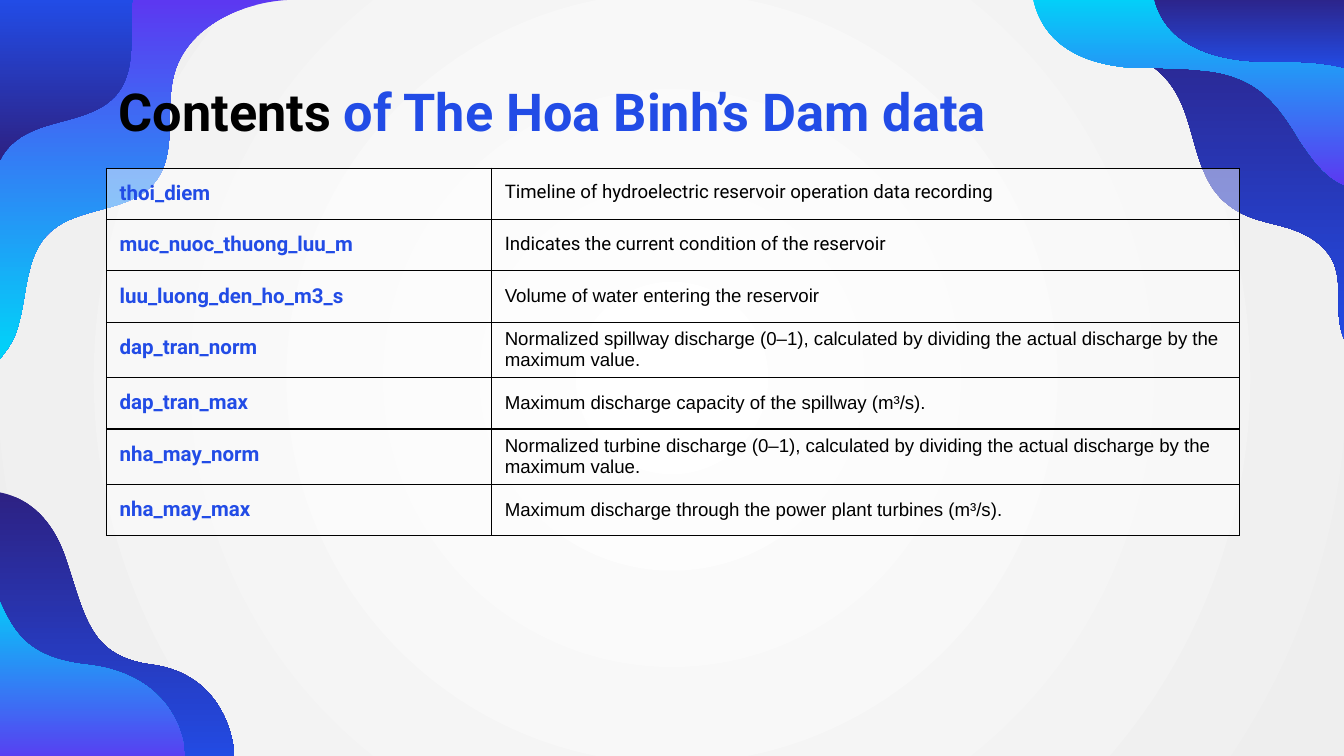
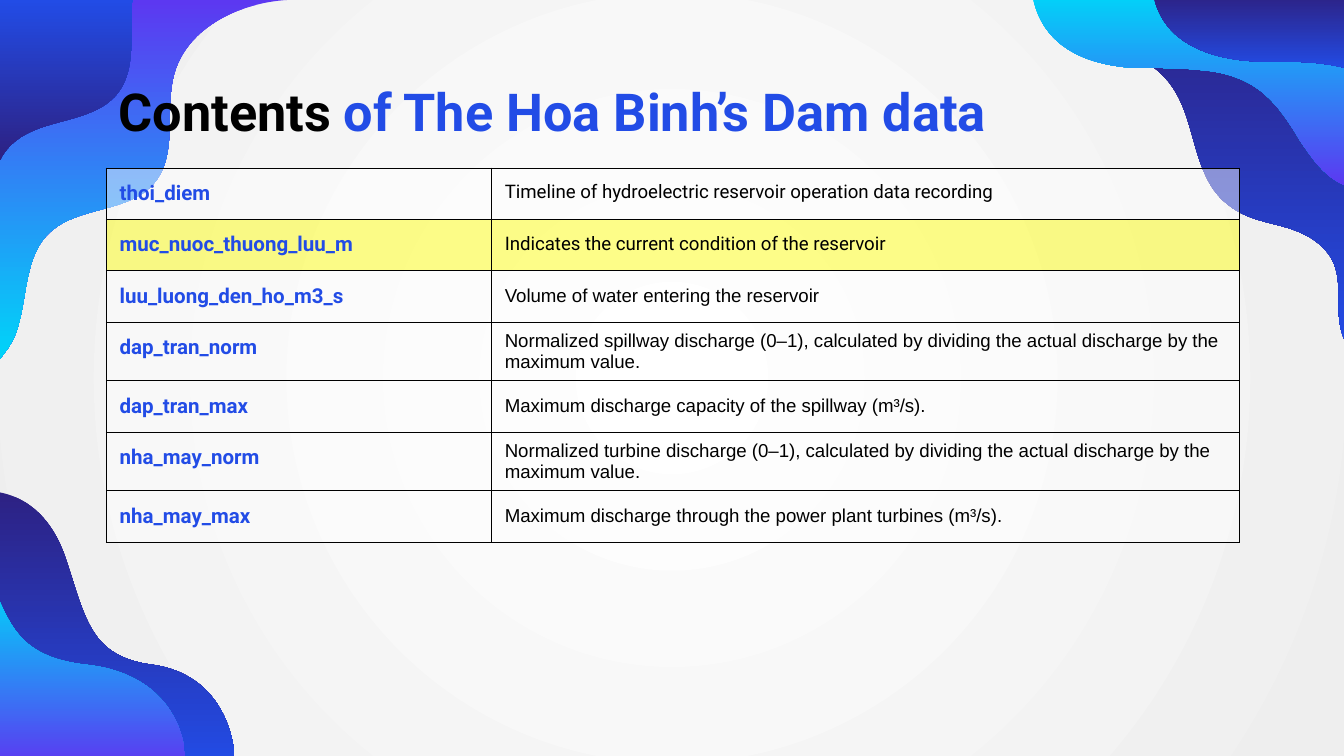
from dataclasses import dataclass

from lxml import etree
from pptx import Presentation
from pptx.dml.color import RGBColor
from pptx.enum.text import MSO_ANCHOR
from pptx.oxml.ns import qn
from pptx.util import Cm, Pt

MIDDLE = MSO_ANCHOR.MIDDLE
TOP = MSO_ANCHOR.TOP
UNIT = Cm(2.54) / 100


@dataclass(frozen=True)
class Theme:
    black: str = "000000"
    white: str = "FFFFFF"
    mist: str = "EEEEEE"
    blue: str = "224CE6"
    navy: str = "2D2183"
    cyan: str = "00D4F9"
    violet: str = "5C38F1"
    highlight: str = "FFFF00"
    heading_font: str = "Roboto"
    body_font: str = "Arial"
    title_size: int = 28
    field_size: int = 11
    body_size: int = 10
    border_width: float = 0.75
    cell_opacity: int = 46


THEME = Theme()
DEEP = (THEME.navy, THEME.blue)
BRIGHT = (THEME.cyan, THEME.violet)

BOTTOM_LEFT_WAVES = [
    (DEEP, [
        (-5, 6), (-5, 209), (175, 209),
        (174, 175, 156, 141, 114, 135),
        (67, 129, 64, 101, 49, 56),
        (35, 14, 7, 7, -5, 6),
    ]),
    (BRIGHT, [
        (-5, 76), (-5, 211), (138, 211),
        (139, 177, 118, 141, 65, 135),
        (18, 130, 8, 109, -5, 76),
    ]),
]
TOP_RIGHT_WAVES = [
    (DEEP, [
        (305, -5), (305, 259),
        (303, 257, 302, 255, 301, 254),
        (296, 244, 296, 234, 296, 223),
        (296, 213, 296, 202, 291, 193),
        (284, 180, 270, 173, 256, 169),
        (242, 165, 228, 163, 216, 154),
        (183, 131, 193, 82, 164, 55),
        (143, 34, 94, 31, 81, 0),
        (305, -5),
    ]),
    (BRIGHT, [
        (305, -5), (305, 139),
        (301, 138, 298, 137, 295, 135),
        (283, 128, 275, 116, 267, 104),
        (260, 92, 252, 80, 242, 71),
        (228, 58, 209, 53, 191, 52),
        (173, 50, 155, 51, 137, 50),
        (119, 48, 100, 43, 86, 30),
        (76, 21, 70, 8, 68, -5),
    ]),
    (DEEP, [
        (305, -5), (305, 52),
        (297, 49, 288, 48, 280, 47),
        (262, 45, 243, 47, 225, 45),
        (207, 43, 189, 38, 175, 26),
        (166, 18, 160, 7, 158, -5),
        (305, -5),
    ]),
]
TOP_LEFT_WAVES = [
    (BRIGHT[::-1], [
        (0, 267),
        (4, 262, 8, 257, 11, 250),
        (21, 225, 17, 193, 36, 174),
        (57, 153, 96, 159, 115, 136),
        (133, 114, 122, 81, 130, 54),
        (140, 20, 179, 2, 214, 0),
        (214, 0, 215, 0, 216, 0),
        (0, 0), (0, 267),
    ]),
    (DEEP[::-1], [
        (0, 119),
        (2, 115, 4, 112, 8, 108),
        (29, 87, 68, 93, 87, 70),
        (102, 52, 96, 25, 99, 0),
        (0, 0), (0, 119),
    ]),
]
CORNERS = [
    (Cm(0), Cm(9.14), BOTTOM_LEFT_WAVES),
    (Cm(17.78), Cm(0), TOP_RIGHT_WAVES),
    (Cm(0), Cm(0), TOP_LEFT_WAVES),
]

TITLE_BOX = (Cm(1.99), Cm(1.25), Cm(21.44), Cm(1.6))
TITLE_RUNS = [("Contents ", THEME.black), ("of The Hoa Binh’s Dam data", THEME.blue)]

TABLE_BOX = (Cm(2.01), Cm(3.18), Cm(21.41), Cm(6.93))
FIELD_WIDTH = Cm(7.28)
ROW_HEIGHT = Cm(0.97)
TWO_LINE_ROW_HEIGHT = Cm(1.04)
FIELDS = [
    ("thoi_diem", "Timeline of hydroelectric reservoir operation data recording"),
    ("muc_nuoc_thuong_luu_m", "Indicates the current condition of the reservoir"),
    ("luu_luong_den_ho_m3_s", "Volume of water entering the reservoir"),
    ("dap_tran_norm", "Normalized spillway discharge (0–1), calculated by dividing "
                      "the actual discharge by the maximum value."),
    ("dap_tran_max", "Maximum discharge capacity of the spillway (m³/s)."),
    ("nha_may_norm", "Normalized turbine discharge (0–1), calculated by dividing "
                     "the actual discharge by the maximum value."),
    ("nha_may_max", "Maximum discharge through the power plant turbines (m³/s)."),
]
LEAD_ROWS = 2

FIELD_FORMAT = {"name": THEME.heading_font, "size": Pt(THEME.field_size), "bold": True}
LEAD_FORMAT = {"name": THEME.heading_font, "size": Pt(THEME.body_size), "bold": False}
BODY_FORMAT = {**LEAD_FORMAT, "name": THEME.body_font}
TITLE_FORMAT = {**FIELD_FORMAT, "size": Pt(THEME.title_size)}
SIDE_MARGINS = {"margin_left": Cm(0.25), "margin_right": Cm(0.25)}
ROOMY_BOX = {**SIDE_MARGINS, "margin_top": Cm(0.25), "margin_bottom": Cm(0.25),
             "vertical_anchor": TOP}
CENTRED_BOX = {**SIDE_MARGINS, "margin_top": Cm(0.13), "margin_bottom": Cm(0.13),
               "vertical_anchor": MIDDLE}


def apply_format(target, values):
    for name, value in values.items():
        setattr(target, name, value)


def add_run(paragraph, text, color, values):
    run = paragraph.add_run()
    run.text = text
    apply_format(run.font, values)
    run.font.color.rgb = RGBColor.from_string(color)


def fill_gradient(fill, colors):
    fill.gradient()
    fill.gradient_angle = 270
    for stop, color in zip(fill.gradient_stops, colors):
        stop.color.rgb = RGBColor.from_string(color)


def paint_background(slide):
    fill_gradient(slide.background.fill, (THEME.white, THEME.mist))
    linear = slide.element.find(".//" + qn("a:lin"))
    circle = etree.Element(qn("a:path"), path="circle")
    etree.SubElement(circle, qn("a:fillToRect"),
                     {side: "50000" for side in ("l", "t", "r", "b")})
    linear.getparent().replace(linear, circle)


def segment_points(segment):
    return [(x * UNIT, y * UNIT) for x, y in zip(segment[::2], segment[1::2])]


def bend_segments(shape, segments):
    lines = iter(shape.element.findall(".//" + qn("a:lnTo")))
    for segment in segments:
        first, *others = [next(lines) for _ in segment_points(segment)]
        if others:
            first.tag = qn("a:cubicBezTo")
            for line in others:
                first.append(line[0])
                line.getparent().remove(line)


def draw_wave(slide, left, top, colors, segments):
    start, *others = segments
    builder = slide.shapes.build_freeform(*segment_points(start)[0])
    points = [point for segment in others for point in segment_points(segment)]
    builder.add_line_segments(points, close=True)
    shape = builder.convert_to_shape(left, top)
    bend_segments(shape, others)
    shape.shadow.inherit = False
    shape.line.fill.background()
    fill_gradient(shape.fill, colors)


def draw_corner(slide, left, top, waves):
    for colors, segments in waves:
        draw_wave(slide, left, top, colors, segments)


def draw_title(slide, box):
    frame = slide.shapes.add_textbox(*box).text_frame
    apply_format(frame, {"word_wrap": True, **ROOMY_BOX})
    for text, color in TITLE_RUNS:
        add_run(frame.paragraphs[0], text, color, TITLE_FORMAT)


def style_cell(cell, color):
    properties = cell._tc.get_or_add_tcPr()
    for side in ("lnL", "lnR", "lnT", "lnB"):
        border = etree.SubElement(properties, qn("a:" + side), w=str(Pt(THEME.border_width)))
        solid = etree.SubElement(border, qn("a:solidFill"))
        etree.SubElement(solid, qn("a:srgbClr"), val=THEME.black)
    cell.fill.solid()
    cell.fill.fore_color.rgb = RGBColor.from_string(color)
    fill_color = properties.find(qn("a:solidFill")).find(qn("a:srgbClr"))
    etree.SubElement(fill_color, qn("a:alpha"), val=str(THEME.cell_opacity * 1000))


def draw_field_table(slide, box, highlighted_field):
    left, top, width, height = box
    table = slide.shapes.add_table(len(FIELDS), 2, left, top, width, height).table
    apply_format(table, {"first_row": False, "horz_banding": False})
    for column, column_width in zip(table.columns, (FIELD_WIDTH, width - FIELD_WIDTH)):
        column.width = column_width
    for index, (field, description) in enumerate(FIELDS):
        two_lines = field.endswith("_norm")
        table.rows[index].height = TWO_LINE_ROW_HEIGHT if two_lines else ROW_HEIGHT
        is_lead = index < LEAD_ROWS
        entries = [
            (field, THEME.blue, FIELD_FORMAT, ROOMY_BOX),
            (description, THEME.black, LEAD_FORMAT if is_lead else BODY_FORMAT,
             ROOMY_BOX if is_lead else CENTRED_BOX),
        ]
        background = THEME.highlight if field == highlighted_field else THEME.white
        for column, (text, color, font_format, cell_format) in enumerate(entries):
            cell = table.cell(index, column)
            apply_format(cell, cell_format)
            style_cell(cell, background)
            paragraph = cell.text_frame.paragraphs[0]
            add_run(paragraph, text, color, font_format)
            if font_format is LEAD_FORMAT:
                paragraph.space_after = Pt(16)


def build_contents_slide(presentation, highlighted_field=None):
    slide = presentation.slides.add_slide(presentation.slide_layouts[6])
    paint_background(slide)
    for left, top, waves in CORNERS:
        draw_corner(slide, left, top, waves)
    draw_field_table(slide, TABLE_BOX, highlighted_field)
    draw_title(slide, TITLE_BOX)


def main():
    presentation = Presentation()
    presentation.slide_width = Cm(25.4)
    presentation.slide_height = Cm(14.29)
    build_contents_slide(presentation)
    build_contents_slide(presentation, highlighted_field="muc_nuoc_thuong_luu_m")
    presentation.save("out.pptx")


if __name__ == "__main__":
    main()
